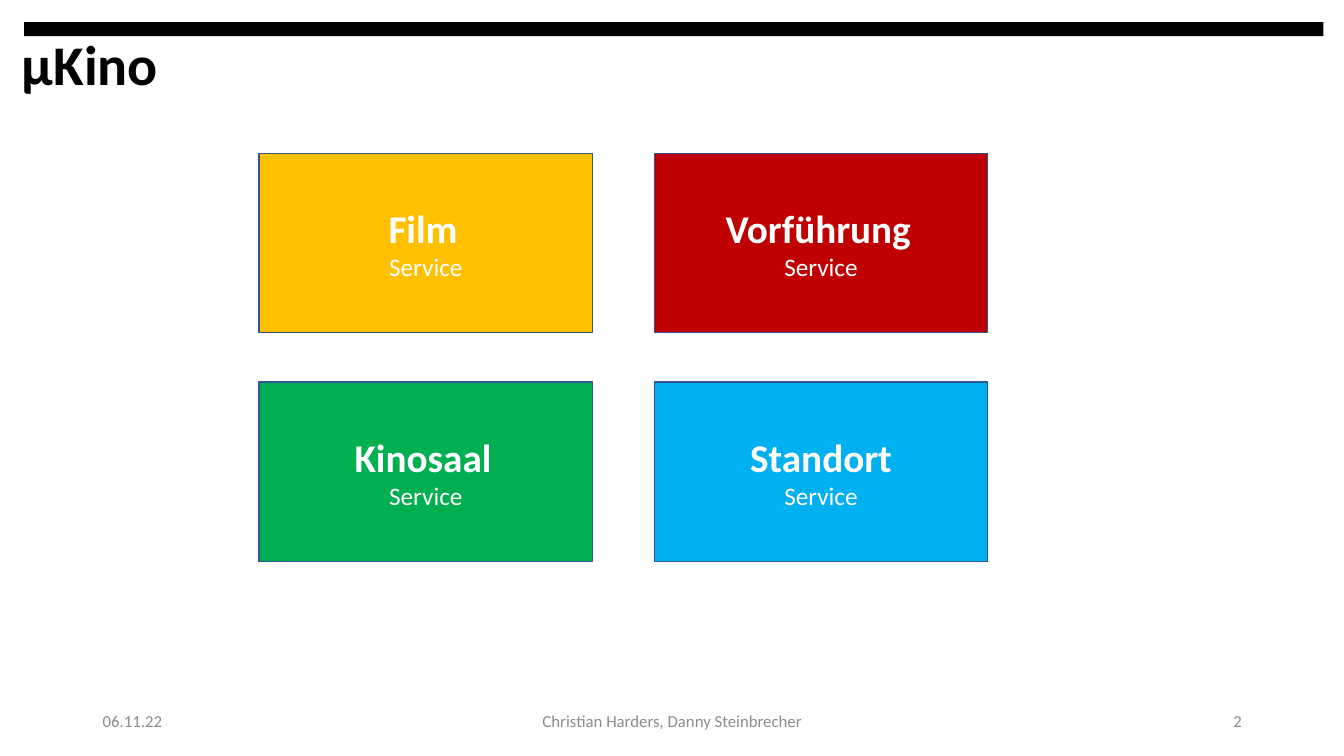
import pptx
import pptx.util
import pptx.dml.color
import pptx.enum.shapes
import pptx.enum.text

Pt = pptx.util.Pt
Align = pptx.enum.text.PP_ALIGN
Anchor = pptx.enum.text.MSO_ANCHOR
RECTANGLE = pptx.enum.shapes.MSO_SHAPE.RECTANGLE

COLORS = {
    "black": "000000",
    "white": "FFFFFF",
    "gray": "8C8C8C",
    "outline": "325491",
    "yellow": "FFC000",
    "red": "C00000",
    "green": "00B050",
    "blue": "00B0F0",
}


def add_rectangle(left, top, width, height, color):
    box = page.shapes.add_shape(RECTANGLE, Pt(left), Pt(top), Pt(width), Pt(height))
    box.shadow.inherit = False
    box.fill.solid()
    box.fill.fore_color.rgb = pptx.dml.color.RGBColor.from_string(COLORS[color])
    return box


def add_span(para, text, size, color, bold=False):
    span = para.add_run()
    span.text = text
    span.font.name = "Calibri"
    span.font.size = Pt(size)
    span.font.bold = bold
    span.font.color.rgb = pptx.dml.color.RGBColor.from_string(COLORS[color])


deck = pptx.Presentation()
deck.slide_width = Pt(960)
deck.slide_height = Pt(540)
page = deck.slides.add_slide(deck.slide_layouts[6])

header_bar = add_rectangle(17.28, 15.84, 928.08, 10.08, "black")
header_bar.line.fill.background()

footers = [
    ("06.11.22", 66.24, 216, Align.LEFT),
    ("Christian Harders, Danny Steinbrecher", 318.24, 324, Align.CENTER),
    ("2", 678.24, 216, Align.RIGHT),
]
for text, left, width, alignment in footers:
    footer = page.shapes.add_textbox(Pt(left), Pt(500.4), Pt(width), Pt(28.8))
    footer.text_frame.word_wrap = True
    footer.text_frame.vertical_anchor = Anchor.MIDDLE
    para = footer.text_frame.paragraphs[0]
    para.alignment = alignment
    add_span(para, text, 12, "gray")

title = page.shapes.add_textbox(Pt(8.64), Pt(17.28), Pt(113.04), Pt(55.44))
title.text_frame.word_wrap = False
title.text_frame.auto_size = pptx.enum.text.MSO_AUTO_SIZE.SHAPE_TO_FIT_TEXT
add_span(title.text_frame.paragraphs[0], "µKino", 40, "black", True)

services = [
    ("Film", " ", "yellow"),
    ("Vorführung", " ", "red"),
    ("Kinosaal", " ", "green"),
    ("Standort", "", "blue"),
]
for index, (name, suffix, color) in enumerate(services):
    row, column = divmod(index, 2)
    box = add_rectangle(185.04 + column * 282.24, 109.44 + row * 163.44, 238.32, 128.16, color)
    box.line.color.rgb = pptx.dml.color.RGBColor.from_string(COLORS["outline"])
    box.line.width = Pt(1)
    frame = box.text_frame
    frame.word_wrap = True
    frame.vertical_anchor = Anchor.MIDDLE
    heading = frame.paragraphs[0]
    heading.alignment = Align.CENTER
    add_span(heading, name, 28, "white", True)
    if suffix:
        add_span(heading, suffix, 18, "white")
    caption = frame.add_paragraph()
    caption.alignment = Align.CENTER
    add_span(caption, "Service", 18, "white")

deck.save("out.pptx")
